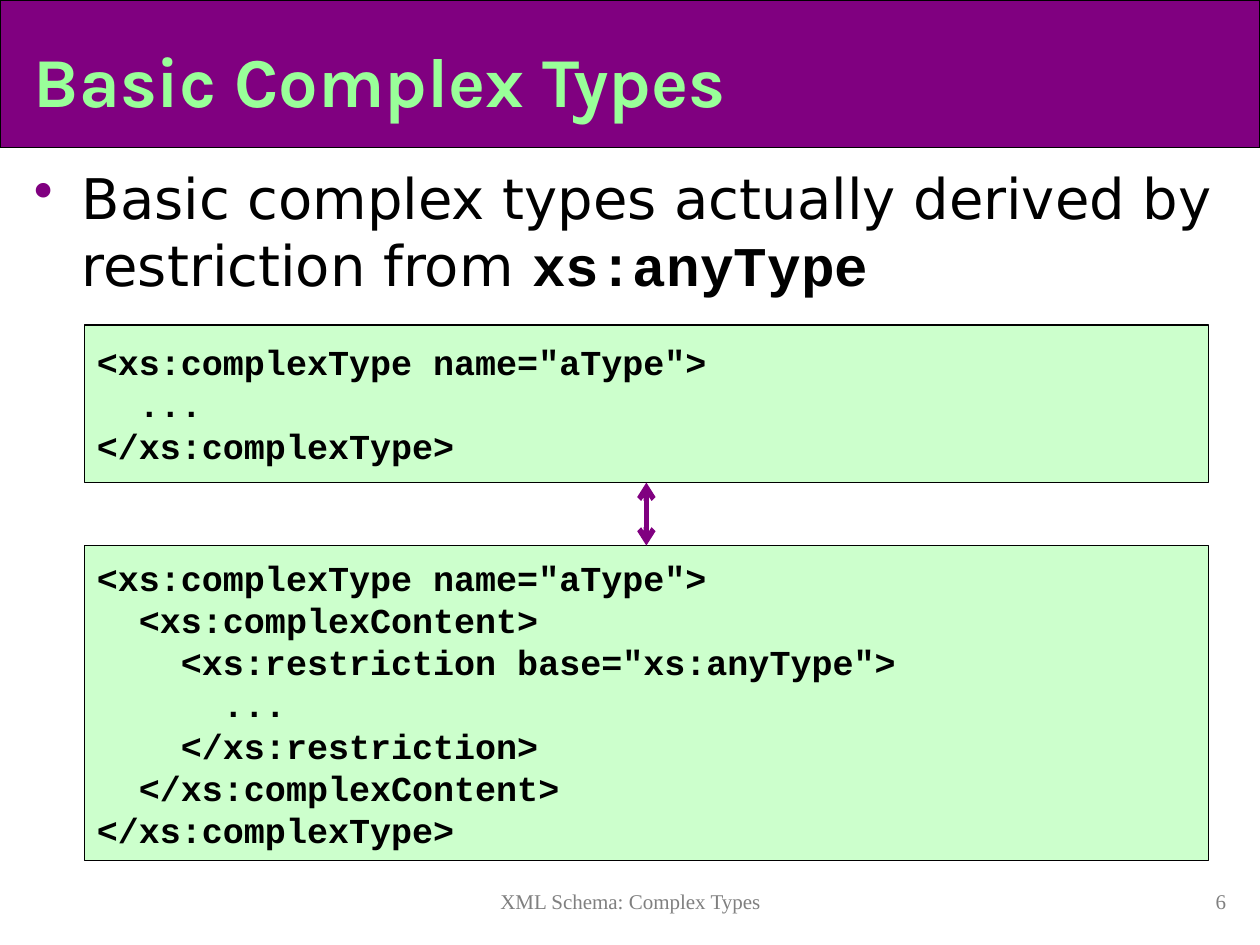
from lxml.etree import SubElement
from pptx import Presentation
from pptx.dml.color import RGBColor
from pptx.enum.shapes import MSO_CONNECTOR, MSO_SHAPE
from pptx.enum.text import MSO_ANCHOR, PP_ALIGN
from pptx.oxml.ns import qn
from pptx.util import Inches, Pt

COLORS = {
    "purple": "800080",
    "mint": "99FF99",
    "code": "CCFFCC",
    "black": "000000",
    "gray": "808080",
}


def style(r, font, size, color, bold=False):
    r.font.name = font
    r.font.size = Pt(size)
    r.font.bold = bold
    r.font.color.rgb = RGBColor.from_string(COLORS[color])


def add_box(kind, left, top, width, height, fill=None):
    box = [Inches(v) for v in (left, top, width, height)]
    if kind == "text":
        sp = s.shapes.add_textbox(*box)
    else:
        sp = s.shapes.add_shape(MSO_SHAPE.RECTANGLE, *box)
        sp.shadow.inherit = False
        sp.fill.solid()
        sp.fill.fore_color.rgb = RGBColor.from_string(COLORS[fill])
        sp.line.color.rgb = RGBColor.from_string(COLORS["black"])
        sp.line.width = Pt(0.75)
    sp.text_frame.word_wrap = kind == "text"
    return sp


prs = Presentation()
prs.slide_width = Inches(10)
prs.slide_height = Inches(7.5)
s = prs.slides.add_slide(prs.slide_layouts[6])

add_box("rect", 0, 0, 10, 1.17, "purple")

tf = add_box("text", 0.17, 0.17, 9.58, 0.92).text_frame
tf.vertical_anchor = MSO_ANCHOR.MIDDLE
tf.text = "Basic Complex Types"
style(tf.paragraphs[0].runs[0], "Karla", 40, "mint", True)

p = add_box("text", 0.17, 1.25, 9.67, 5.67).text_frame.paragraphs[0]
pPr = p._p.get_or_add_pPr()
pPr.set("marL", str(Inches(0.38)))
pPr.set("indent", str(Inches(-0.38)))
SubElement(SubElement(pPr, qn("a:buClr")), qn("a:srgbClr"), val=COLORS["purple"])
SubElement(pPr, qn("a:buChar"), char="•")
for text, font, bold in [
    ("Basic complex types actually derived by restriction from ", "DejaVu Sans", False),
    ("xs:anyType", "Courier New", True),
]:
    r = p.add_run()
    r.text = text
    style(r, font, 32, "black", bold)

short_form = """<xs:complexType name="aType">
  ...
</xs:complexType>"""
full_form = """<xs:complexType name="aType">
  <xs:complexContent>
    <xs:restriction base="xs:anyType">
      ...
    </xs:restriction>
  </xs:complexContent>
</xs:complexType>"""

for top, height, code in [(2.58, 1.25, short_form), (4.33, 2.5, full_form)]:
    tf = add_box("rect", 0.67, top, 8.92, height, "code").text_frame
    tf.vertical_anchor = MSO_ANCHOR.MIDDLE
    tf.text = code
    for p in tf.paragraphs:
        p.alignment = PP_ALIGN.LEFT
        style(p.runs[0], "Courier New", 20, "black", True)

arrow = s.shapes.add_connector(
    MSO_CONNECTOR.STRAIGHT, Inches(5.13), Inches(3.83), Inches(5.13), Inches(4.33)
)
arrow.line.color.rgb = RGBColor.from_string(COLORS["purple"])
arrow.line.width = Pt(3)
ln = arrow.line._get_or_add_ln()
for end in ("a:headEnd", "a:tailEnd"):
    SubElement(ln, qn(end), type="arrow")
SubElement(arrow._element.spPr, qn("a:effectLst"))

for left, width, text, align in [
    (2.42, 5.17, "XML Schema: Complex Types", PP_ALIGN.CENTER),
    (7.75, 2.08, "6", PP_ALIGN.RIGHT),
]:
    tf = add_box("text", left, 7, width, 0.33).text_frame
    tf.text = text
    p = tf.paragraphs[0]
    p.alignment = align
    style(p.runs[0], "Times New Roman", 12, "gray")

prs.save("out.pptx")
